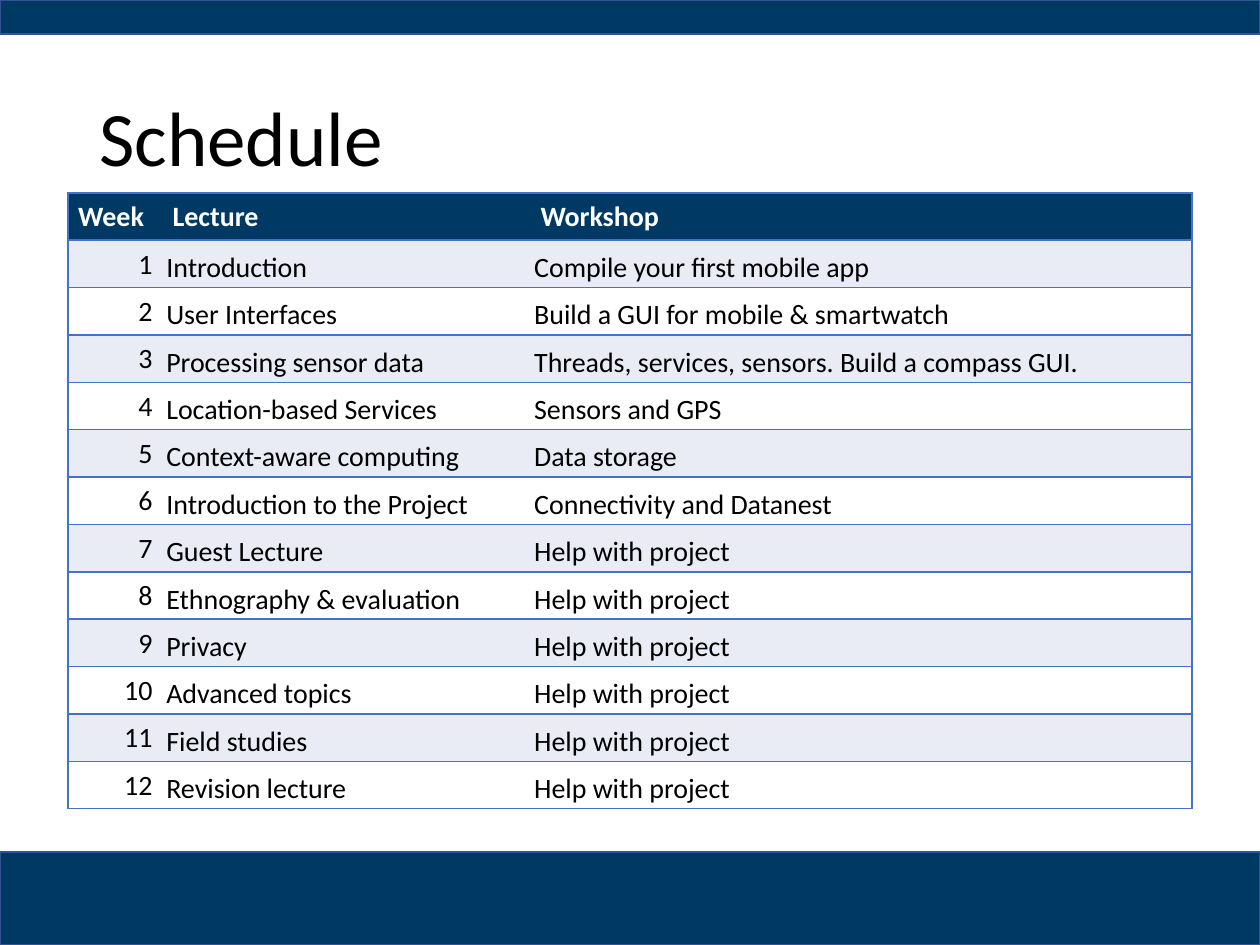
from pptx import Presentation
from pptx.dml.color import RGBColor
from pptx.enum.shapes import MSO_SHAPE
from pptx.enum.text import MSO_ANCHOR as Anchor, PP_ALIGN as Align
from pptx.oxml import parse_xml
from pptx.oxml.ns import nsdecls
from pptx.util import Inches, Pt

NAVY = RGBColor(0x00, 0x3A, 0x64)
BAND_EDGE = RGBColor(0x32, 0x54, 0x91)
RULE = RGBColor(0x44, 0x72, 0xC4)
STRIPE = RGBColor(0xE9, 0xEB, 0xF5)
WHITE = RGBColor(0xFF, 0xFF, 0xFF)
BLACK = RGBColor(0x00, 0x00, 0x00)

COLUMN_WIDTHS = [0.75, 2.92, 5.25]
HEADINGS = ("Week", "Lecture", "Workshop")
HELP = "Help with project"
SESSIONS = [
    ("Introduction", "Compile your first mobile app"),
    ("User Interfaces", "Build a GUI for mobile & smartwatch"),
    ("Processing sensor data", "Threads, services, sensors. Build a compass GUI."),
    ("Location-based Services", "Sensors and GPS"),
    ("Context-aware computing", "Data storage"),
    ("Introduction to the Project", "Connectivity and Datanest"),
    ("Guest Lecture", HELP),
    ("Ethnography & evaluation", HELP),
    ("Privacy", HELP),
    ("Advanced topics", HELP),
    ("Field studies", HELP),
    ("Revision lecture", HELP),
]

WIDE_CELL = {
    "margin_left": Inches(0.08), "margin_right": Inches(0.08),
    "margin_top": Inches(0.01), "margin_bottom": 0,
    "vertical_anchor": Anchor.MIDDLE,
}
TIGHT_CELL = {
    "margin_left": Inches(0.03), "margin_right": Inches(0.03),
    "margin_top": Inches(0.02), "margin_bottom": Inches(0.02),
    "vertical_anchor": Anchor.BOTTOM,
}


def apply_format(target, values):
    """Set every attribute named in values on target."""
    for name, value in values.items():
        setattr(target, name, value)


def write_text(paragraph, text, size, color, bold=False):
    """Put one formatted run of text in a paragraph."""
    run = paragraph.add_run()
    run.text = text
    apply_format(run.font, {"name": "Calibri", "size": Pt(size), "bold": bold})
    run.font.color.rgb = color


def add_band(slide, top, height):
    """Draw a full-width navy band."""
    band = slide.shapes.add_shape(
        MSO_SHAPE.RECTANGLE, 0, Inches(top), Inches(10), Inches(height))
    band.shadow.inherit = False
    band.fill.solid()
    band.fill.fore_color.rgb = NAVY
    band.line.color.rgb = BAND_EDGE
    band.line.width = Pt(1)


def add_title(slide, text):
    """Write the slide title."""
    title = slide.shapes.add_textbox(
        Inches(0.69), Inches(0.4), Inches(8.62), Inches(1.45))
    apply_format(title.text_frame,
                 {"word_wrap": True, "vertical_anchor": Anchor.MIDDLE})
    heading = title.text_frame.paragraphs[0]
    heading.line_spacing = 0.9
    write_text(heading, text, 44, BLACK)


def add_borders(cell, ruled_sides):
    """Rule the given sides of a cell and clear the others."""
    properties = cell._tc.get_or_add_tcPr()
    for side in "LRTB":
        paint = (f'<a:solidFill><a:srgbClr val="{RULE}"/></a:solidFill>'
                 if side in ruled_sides else "<a:noFill/>")
        properties.append(parse_xml(
            f'<a:ln{side} {nsdecls("a")} w="{Pt(1)}">{paint}</a:ln{side}>'))


def fill_cell(cell, text, row, column):
    """Format one schedule cell by its place in the grid."""
    is_heading = row == 0
    is_week = column == 0
    add_borders(cell, "TB" + {0: "L", len(HEADINGS) - 1: "R"}.get(column, ""))
    cell.fill.solid()
    cell.fill.fore_color.rgb = NAVY if is_heading else STRIPE if row % 2 else WHITE
    apply_format(cell, WIDE_CELL if is_heading or is_week else TIGHT_CELL)
    paragraph = cell.text_frame.paragraphs[0]
    paragraph.alignment = Align.RIGHT if is_week and not is_heading else Align.LEFT
    write_text(paragraph, text, 16, WHITE if is_heading else BLACK, is_heading)


def add_schedule(slide):
    """Build the weekly schedule table."""
    rows = [HEADINGS] + [(str(week), *session)
                         for week, session in enumerate(SESSIONS, 1)]
    schedule = slide.shapes.add_table(
        len(rows), len(HEADINGS), Inches(0.54), Inches(1.53),
        Inches(sum(COLUMN_WIDTHS)), Inches(4.89)).table
    schedule.horz_banding = False
    for column, width in zip(schedule.columns, COLUMN_WIDTHS):
        column.width = Inches(width)
    for row, texts in enumerate(rows):
        for column, text in enumerate(texts):
            fill_cell(schedule.cell(row, column), text, row, column)


def main():
    """Build and save the schedule slide."""
    deck = Presentation()
    apply_format(deck, {"slide_width": Inches(10), "slide_height": Inches(7.5)})
    slide = deck.slides.add_slide(deck.slide_layouts[6])
    add_band(slide, 6.76, 0.74)
    add_band(slide, 0, 0.27)
    add_title(slide, "Schedule")
    add_schedule(slide)
    deck.save("out.pptx")


if __name__ == "__main__":
    main()
